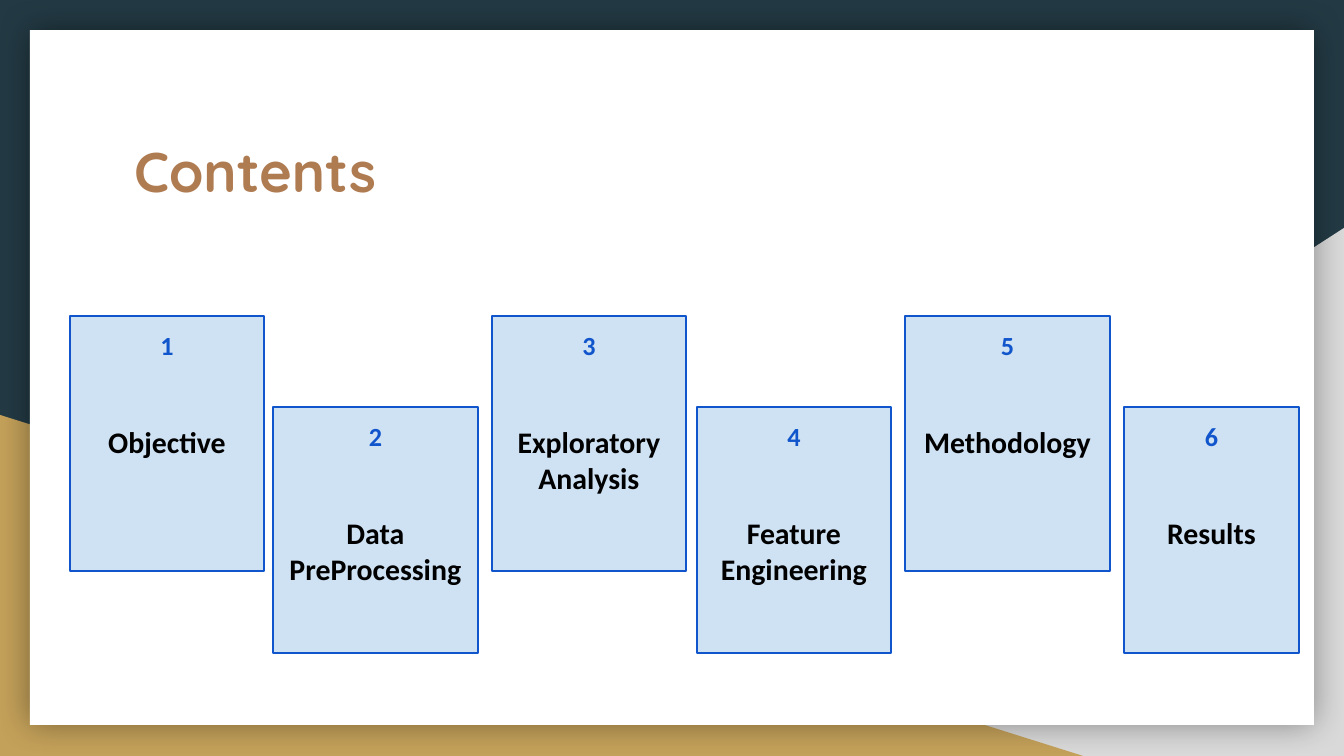
import pptx
import pptx.dml.color
import pptx.enum.shapes
import pptx.enum.text
import pptx.oxml
import pptx.oxml.ns
import pptx.util

RGBColor = pptx.dml.color.RGBColor
MSO_SHAPE = pptx.enum.shapes.MSO_SHAPE
PP_ALIGN = pptx.enum.text.PP_ALIGN
Pt = pptx.util.Pt

SLIDE_WIDTH, SLIDE_HEIGHT = 1344, 756
EMU_PER_PX = 9144000 / SLIDE_WIDTH
TEXT_INSET = 13

NAVY = RGBColor(0x23, 0x3A, 0x44)
GRAY = RGBColor(0xD9, 0xD9, 0xD9)
GOLD = RGBColor(0xC4, 0xA1, 0x5A)
WHITE = RGBColor(0xFF, 0xFF, 0xFF)
BROWN = RGBColor(0xAF, 0x7B, 0x51)
PALE_BLUE = RGBColor(0xCF, 0xE2, 0xF3)
BLUE = RGBColor(0x11, 0x55, 0xCC)
BLACK = RGBColor(0x00, 0x00, 0x00)

# Odd cards sit on the upper row, even cards on the lower one.
CARD_ROWS = [(86, 255), (177, 246)]  # top, height within the card area
CARDS = [  # left within the card area, width, label
    (0, 194, "Objective"),
    (203, 205, "Data PreProcessing"),
    (422, 194, "Exploratory Analysis"),
    (627, 194, "Feature Engineering"),
    (835, 205, "Methodology"),
    (1054, 175, "Results"),
]

PANEL_SHADOW = (
    f'<a:effectLst {pptx.oxml.ns.nsdecls("a")}>'
    '<a:outerShdw blurRad="228600" dist="0" dir="0" algn="ctr" rotWithShape="0">'
    '<a:srgbClr val="000000"><a:alpha val="40000"/></a:srgbClr>'
    '</a:outerShdw></a:effectLst>'
)


def px(length):
    return pptx.util.Emu(round(length * EMU_PER_PX))


def add_filled_shape(slide, kind, box, color):
    shape = slide.shapes.add_shape(kind, *map(px, box))
    shape.shadow.inherit = False
    shape.fill.solid()
    shape.fill.fore_color.rgb = color
    shape.line.fill.background()
    return shape


def prepare_text_frame(shape):
    """Wrap the text, start it at the top and set equal insets."""
    frame = shape.text_frame
    frame.word_wrap = True
    frame.vertical_anchor = pptx.enum.text.MSO_ANCHOR.TOP
    frame.margin_left = frame.margin_right = px(TEXT_INSET)
    frame.margin_top = frame.margin_bottom = px(TEXT_INSET)
    return frame


def format_paragraph(paragraph, font_name, size, color, alignment):
    paragraph.alignment = alignment
    for run in paragraph.runs:
        run.font.name = font_name
        run.font.size = Pt(size)
        run.font.bold = True
        run.font.color.rgb = color


def add_backdrop(slide, box):
    """Navy ground with two corner triangles and a shadowed white panel."""
    left, top, width, height = box
    slide.background.fill.solid()
    slide.background.fill.fore_color.rgb = NAVY

    right_box = (left + width - 817, top + height - 528, 817, 528)
    right_corner = add_filled_shape(slide, MSO_SHAPE.RIGHT_TRIANGLE, right_box, GRAY)
    right_corner._element.spPr.xfrm.set("flipH", "1")

    left_box = (left, top + height - 341, 1083, 341)
    add_filled_shape(slide, MSO_SHAPE.RIGHT_TRIANGLE, left_box, GOLD)

    panel_box = (left + 30, top + 30, width - 60, height - 61)
    panel = add_filled_shape(slide, MSO_SHAPE.RECTANGLE, panel_box, WHITE)
    properties = panel._element.spPr
    properties.replace(
        properties.find(pptx.oxml.ns.qn("a:effectLst")),
        pptx.oxml.parse_xml(PANEL_SHADOW),
    )


def add_title(slide, box, text):
    frame = prepare_text_frame(slide.shapes.add_textbox(*map(px, box)))
    frame.text = text
    format_paragraph(frame.paragraphs[0], "Quicksand", 30, BROWN, PP_ALIGN.LEFT)


def add_card(slide, box, number, label):
    card = add_filled_shape(slide, MSO_SHAPE.RECTANGLE, box, PALE_BLUE)
    card.line.color.rgb = BLUE
    card.line.width = Pt(0.75)
    frame = prepare_text_frame(card)
    frame.text = f"{number}\n{label}"
    number_paragraph, label_paragraph = frame.paragraphs
    format_paragraph(number_paragraph, "Calibri", 14, BLUE, PP_ALIGN.CENTER)
    format_paragraph(label_paragraph, "Calibri", 16, BLACK, PP_ALIGN.CENTER)
    label_paragraph.space_before = Pt(34)


def add_cards(slide, box):
    left, top, _, _ = box
    for index, (offset, width, label) in enumerate(CARDS):
        row_top, height = CARD_ROWS[index % 2]
        card_box = (left + offset, top + row_top, width, height)
        add_card(slide, card_box, index + 1, label)


def main():
    presentation = pptx.Presentation()
    presentation.slide_width = px(SLIDE_WIDTH)
    presentation.slide_height = px(SLIDE_HEIGHT)
    slide = presentation.slides.add_slide(presentation.slide_layouts[6])
    add_backdrop(slide, (0, 0, SLIDE_WIDTH, SLIDE_HEIGHT))
    add_title(slide, (121, 124, 1103, 140), "Contents")
    add_cards(slide, (70, 230, 1229, 423))
    presentation.save("out.pptx")


if __name__ == "__main__":
    main()
